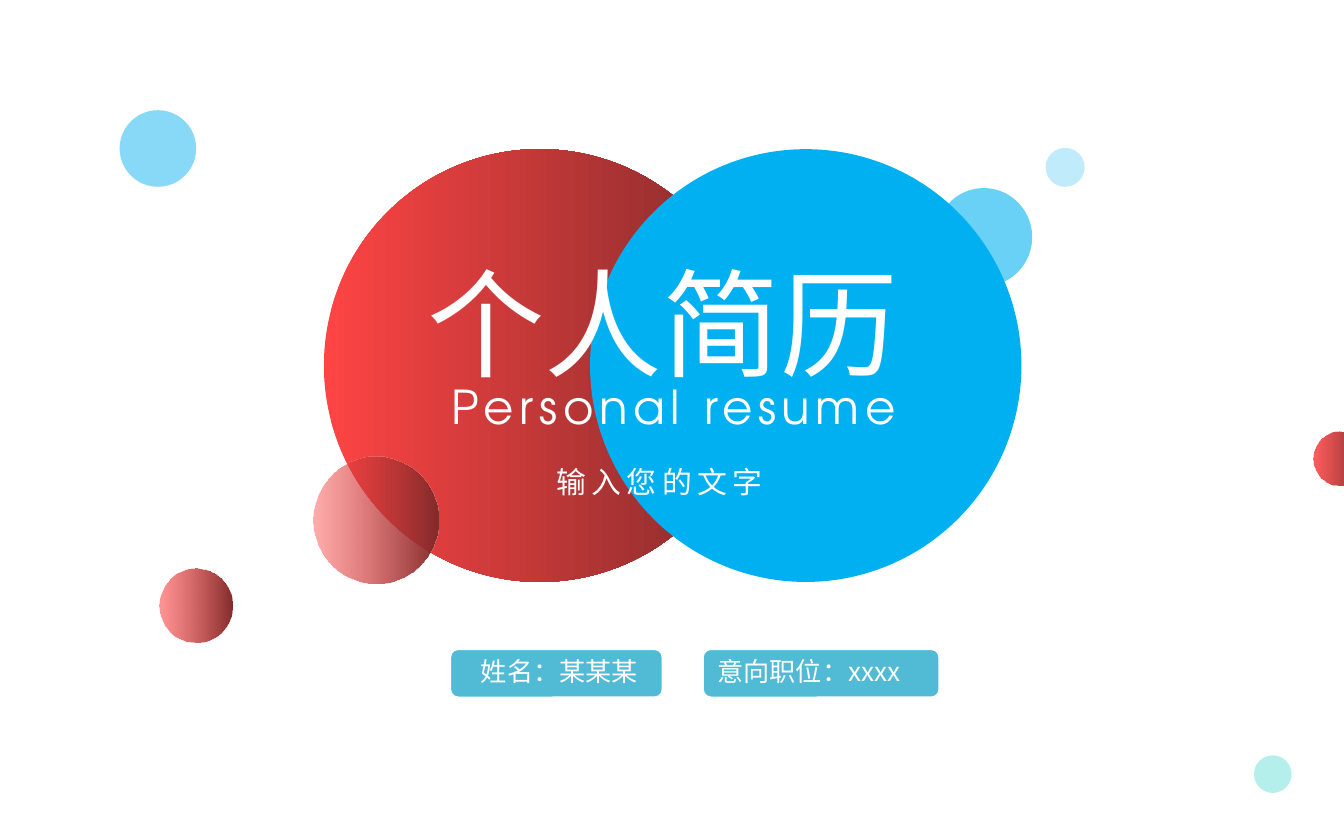
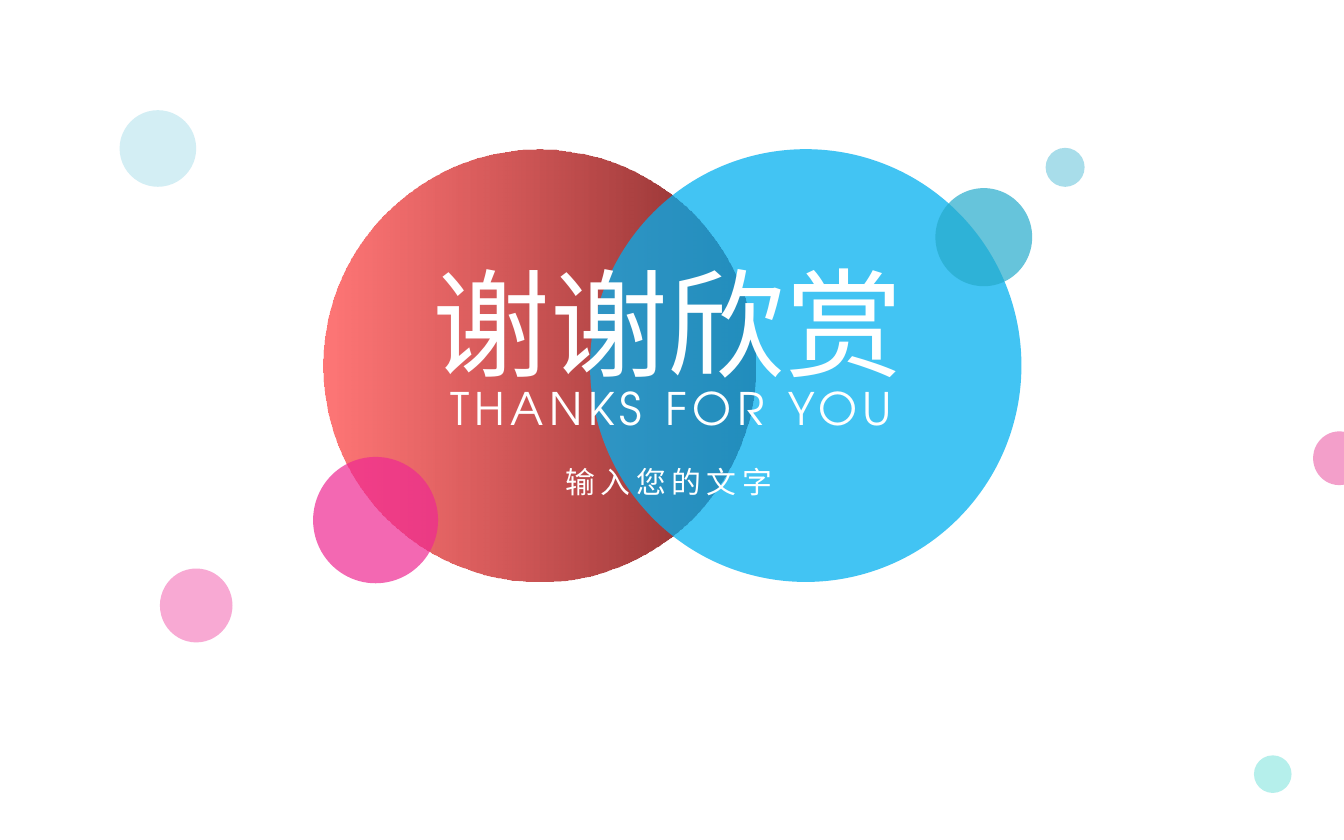
from lxml import etree
from pptx import Presentation
from pptx.dml.color import RGBColor
from pptx.enum.shapes import MSO_SHAPE
from pptx.enum.text import MSO_AUTO_SIZE
from pptx.oxml.ns import qn
from pptx.util import Inches, Pt

ELLIPSE = MSO_SHAPE.OVAL
ROUNDED = MSO_SHAPE.ROUNDED_RECTANGLE
GROW = MSO_AUTO_SIZE.SHAPE_TO_FIT_TEXT

WHITE, BLUE, TEAL, MINT = "FFFFFF", "00B0F0", "26ABCC", "0DCCC0"
PINK, ROSE = "EE2992", "EB5FA8"
RED_FADE = ("FE4444", "832B2B")
CHINESE_FONT, LATIN_FONT = "Noto Sans CJK SC", "TeX Gyre Adventor"

PAGE = (0, 0, 10, 6.25)
SUBTITLE = "输入您的文字"

# Circle name: left, top, width, height within the page
CIRCLES = {
    "left disc": (2.41, 1.11, 3.21, 3.22),
    "right disc": (4.39, 1.11, 3.21, 3.22),
    "right bubble": (6.96, 1.4, 0.72, 0.73),
    "left bubble": (2.33, 3.4, 0.93, 0.94),
    "lower left dot": (1.19, 4.23, 0.54, 0.55),
    "edge dot": (9.77, 3.21, 0.39, 0.4),
    "corner dot": (9.33, 5.62, 0.28, 0.28),
    "upper left dot": (0.89, 0.82, 0.57, 0.57),
    "upper right dot": (7.78, 1.1, 0.29, 0.29),
}

# Colour (or fade) and opacity in percent, in the order of CIRCLES
COVER_FILLS = [(RED_FADE, 100), (BLUE, 100), (BLUE, 59), (RED_FADE, 44),
               (RED_FADE, 56), (RED_FADE, 86), (MINT, 30), (BLUE, 47), (BLUE, 25)]
CLOSING_FILLS = [(RED_FADE, 73), (BLUE, 74), (TEAL, 70), (PINK, 70),
                 (PINK, 40), (ROSE, 60), (MINT, 30), (TEAL, 20), (TEAL, 40)]


def rgb(hex_colour):
    return RGBColor.from_string(hex_colour)


def inside(box, left, top, width, height):
    """Lengths of a part placed relative to the corner of a box."""
    return [Inches(value) for value in (box[0] + left, box[1] + top, width, height)]


def paint(shape, colour, opacity):
    """Fill with one colour, or a left-to-right fade whose start is translucent."""
    fill = shape.fill
    if isinstance(colour, tuple):
        fill.gradient()
        fill.gradient_angle = 0
        for stop, stop_colour in zip(fill.gradient_stops, colour):
            stop.color.rgb = rgb(stop_colour)
    else:
        fill.solid()
        fill.fore_color.rgb = rgb(colour)
    if opacity < 100:
        first_colour = next(shape.element.spPr.iter(qn("a:srgbClr")))
        etree.SubElement(first_colour, qn("a:alpha"), val=str(opacity * 1000))


def add_figure(slide, kind, lengths, colour, opacity, line=None):
    shape = slide.shapes.add_shape(kind, *lengths)
    shape.shadow.inherit = False
    paint(shape, colour, opacity)
    if line:
        shape.line.color.rgb = rgb(line)
        shape.line.width = Pt(1)
    else:
        shape.line.fill.background()


def add_text(slide, lengths, text, size, font=CHINESE_FONT, colour=WHITE,
             spacing=0, wrap=False):
    frame = slide.shapes.add_textbox(*lengths).text_frame
    frame.word_wrap = wrap
    frame.auto_size = GROW
    run = frame.paragraphs[0].add_run()
    run.text = text
    run.font.size = Pt(size)
    run.font.name = font
    run.font.color.rgb = rgb(colour)
    properties = run.font._element
    etree.SubElement(properties, qn("a:ea"), typeface=font)
    if spacing:
        properties.set("spc", str(spacing * 100))


def add_circles(slide, box, fills):
    for place, (colour, opacity) in zip(CIRCLES.values(), fills):
        add_figure(slide, ELLIPSE, inside(box, *place), colour, opacity)


def add_heading(slide, box, title, title_left, english, english_place,
                english_size, subtitle_left):
    add_text(slide, inside(box, *english_place), english, english_size,
             font=LATIN_FONT, spacing=3)
    add_text(slide, inside(box, title_left, 1.82, 3.85, 1.2), title, 63)
    add_text(slide, inside(box, subtitle_left, 3.4, 1.78, 0.37), SUBTITLE, 16,
             spacing=3)


def add_badge(slide, box, text, text_place):
    add_figure(slide, ROUNDED, inside(box, 0, 0, *box[2:]), TEAL, 80, line=WHITE)
    add_text(slide, inside(box, *text_place), text, 14, wrap=True)


def build_cover(slide, box):
    add_circles(slide, box, COVER_FILLS)
    add_heading(slide, box, "个人简历", 3.08, "Personal resume",
                (3.26, 2.76, 3.71, 0.54), 25, 4.04)
    # Name and position badges
    left, top = box[:2]
    add_badge(slide, (left + 3.35, top + 4.83, 1.58, 0.36), "姓名：某某某",
              (0.13, 0, 1.44, 0.34))
    add_badge(slide, (left + 5.23, top + 4.83, 1.76, 0.36), "意向职位：xxxx",
              (0.01, 0, 1.97, 0.57))


def build_closing(slide, box):
    add_circles(slide, box, CLOSING_FILLS)
    add_heading(slide, box, "谢谢欣赏", 3.12, "THANKS FOR YOU",
                (3.25, 2.78, 3.59, 0.51), 24, 4.11)


def main():
    presentation = Presentation()
    presentation.slide_width = Inches(PAGE[2])
    presentation.slide_height = Inches(PAGE[3])
    blank = presentation.slide_layouts[6]
    for build in (build_cover, build_closing):
        slide = presentation.slides.add_slide(blank)
        slide.background.fill.solid()
        slide.background.fill.fore_color.rgb = rgb(WHITE)
        build(slide, PAGE)
    presentation.save("out.pptx")


if __name__ == "__main__":
    main()
